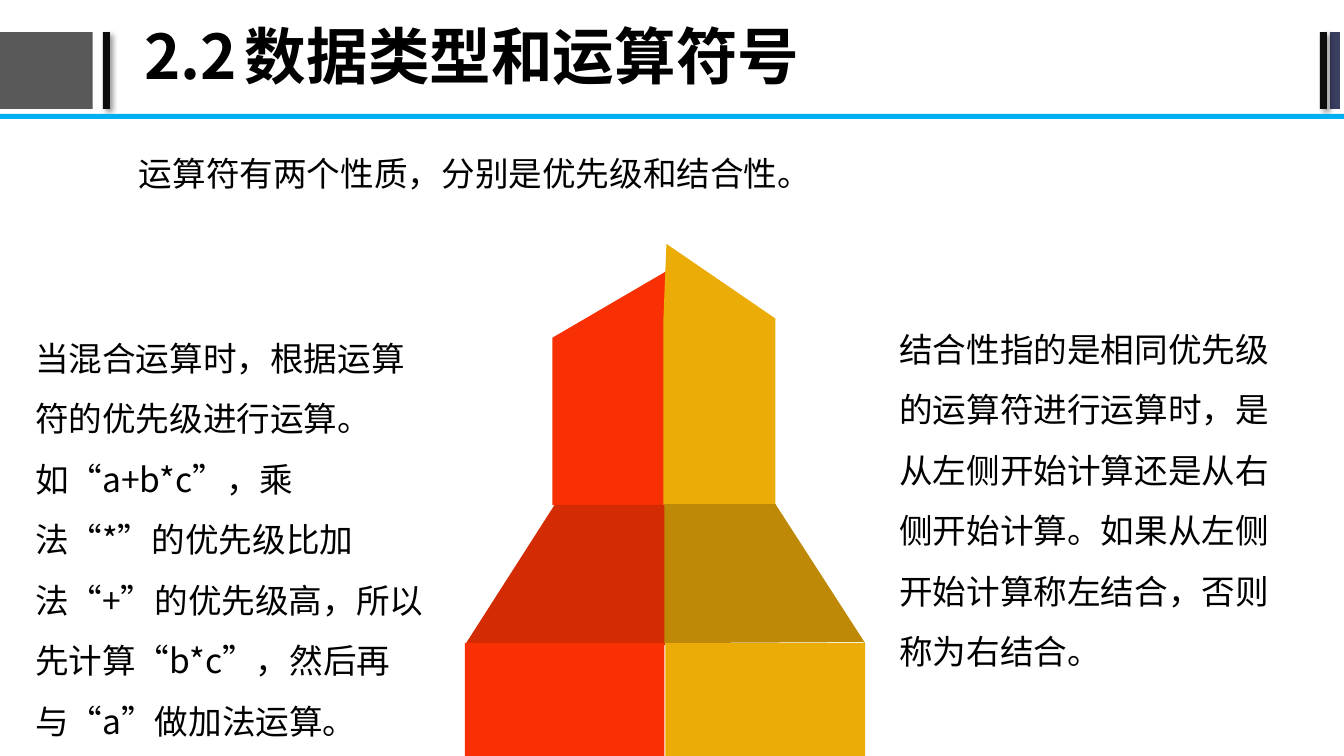
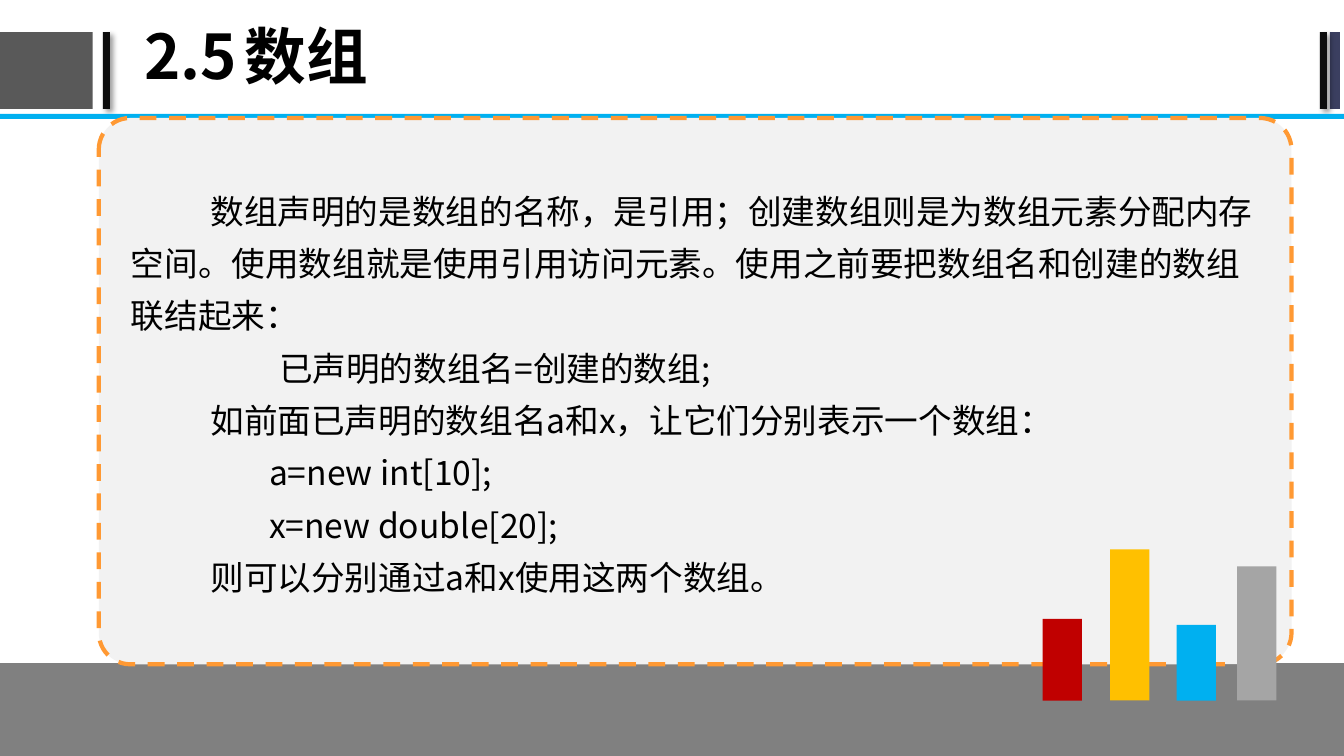
from dataclasses import dataclass

from lxml import etree
from pptx import Presentation
from pptx.dml.color import RGBColor
from pptx.enum.dml import MSO_LINE
from pptx.enum.lang import MSO_LANGUAGE_ID
from pptx.enum.shapes import MSO_SHAPE
from pptx.enum.text import MSO_ANCHOR
from pptx.oxml import parse_xml
from pptx.oxml.ns import nsdecls, qn
from pptx.shapes.autoshape import Shape
from pptx.slide import Slide
from pptx.util import Inches, Pt

RECTANGLE = MSO_SHAPE.RECTANGLE
ROUNDED = MSO_SHAPE.ROUNDED_RECTANGLE
TOP, MIDDLE = MSO_ANCHOR.TOP, MSO_ANCHOR.MIDDLE
DASH = MSO_LINE.DASH
CHINESE = MSO_LANGUAGE_ID.SIMPLIFIED_CHINESE

SLIDE_WIDTH, SLIDE_HEIGHT = 13.33, 7.5


@dataclass(frozen=True)
class Theme:
    font: str = "Noto Sans CJK SC"
    title_size: int = 44
    body_size: int = 24
    text: str = "000000"
    block: str = "595959"
    stripe: str = "0D0D0D"
    edge: str = "3B3F60"
    rule: str = "00B0F0"
    red: str = "F83003"
    red_shade: str = "D32B03"
    amber: str = "EBAC07"
    amber_shade: str = "BE8906"
    panel: str = "F2F2F2"
    panel_line: str = "FF9933"
    floor: str = "808080"
    bar_red: str = "C00000"
    bar_yellow: str = "FFC000"
    bar_gray: str = "A5A5A5"


THEME = Theme()


@dataclass(frozen=True)
class Box:
    left: float
    top: float
    width: float
    height: float


@dataclass(frozen=True)
class Block:
    box: Box
    color: str
    shadowed: bool = False


@dataclass(frozen=True)
class Facet:
    points: tuple[tuple[float, float], ...]
    color: str


@dataclass(frozen=True)
class Line:
    text: str
    indent: float = 0


@dataclass(frozen=True)
class Passage:
    box: Box
    lines: tuple[Line, ...]
    spacing: float = 1.0


@dataclass(frozen=True)
class Bar:
    left: float
    height: float
    color: str


def band(left: float, width: float, color: str, shadowed: bool = False) -> Block:
    """A block of the header band, which has one top and one height."""
    return Block(Box(left, 0.32, width, 0.76), color, shadowed)


HEADER = (
    band(-0.02, 0.94, THEME.block),
    band(1.02, 0.07, THEME.stripe, shadowed=True),
    band(13.19, 0.1, THEME.edge),
    band(13.09, 0.07, THEME.stripe, shadowed=True),
    Block(Box(0, 1.13, SLIDE_WIDTH, 0.05), THEME.rule),
)
TITLE_BOX = Box(1.33, 0, 11.25, 1.18)
TITLE_TAB = 1.33

TOWER_FACETS = (
    Facet(((6.59, 3.35), (6.59, 5.01), (5.48, 5.01), (5.48, 3.35), (6.61, 2.69)), THEME.red),
    Facet(((6.58, 3.16), (6.58, 5.02), (7.69, 5.02), (7.69, 3.16), (6.61, 2.42)), THEME.amber),
    Facet(((4.61, 6.4), (5.5, 5.01), (6.6, 5.01), (6.6, 6.4), (4.63, 6.39)), THEME.red_shade),
    Facet(((8.58, 6.38), (7.69, 5), (6.59, 5), (6.59, 6.38), (8.56, 6.37)), THEME.amber_shade),
)
TOWER_BASE = (
    Block(Box(4.61, 6.38, 1.98, 1.12), THEME.red),
    Block(Box(6.6, 6.38, 1.98, 1.12), THEME.amber),
)
OPERATOR_PASSAGES = (
    Passage(
        Box(0.25, 3.1, 4.14, 3.64),
        (Line("当混合运算时，根据运算符的优先级进行运算。如“a+b*c”，乘法“*”的优先级比加法“+”的优先级高，"
              "所以先计算“b*c”，然后再与“a”做加法运算。"),),
        1.5,
    ),
    Passage(
        Box(8.82, 3.01, 4.09, 3.64),
        (Line("结合性指的是相同优先级的运算符进行运算时，是从左侧开始计算还是从右侧开始计算。"
              "如果从左侧开始计算称左结合，否则称为右结合。"),),
        1.5,
    ),
    Passage(Box(1.28, 1.47, 7.8, 0.5), (Line("运算符有两个性质，分别是优先级和结合性。"),)),
)

FLOOR = Block(Box(0, 6.58, SLIDE_WIDTH, 1), THEME.floor)
PANEL_BOX = Box(0.98, 1.17, 11.83, 5.42)
BODY_INDENT, FORMULA_INDENT, CODE_INDENT = 0.79, 1.47, 1.37
ARRAY_PASSAGE = Passage(
    Box(1.2, 1.72, 11.4, 3.39),
    (
        Line("数组声明的是数组的名称，是引用；创建数组则是为数组元素分配内存空间。"
             "使用数组就是使用引用访问元素。使用之前要把数组名和创建的数组联结起来：", BODY_INDENT),
        Line("已声明的数组名=创建的数组;", FORMULA_INDENT),
        Line("如前面已声明的数组名a和x，让它们分别表示一个数组：", BODY_INDENT),
        Line("a=new int[10];", CODE_INDENT),
        Line("x=new double[20];", CODE_INDENT),
        Line("则可以分别通过a和x使用这两个数组。", BODY_INDENT),
    ),
    1.3,
)
BAR_WIDTH, BAR_BOTTOM = 0.39, 6.95
BARS = (
    Bar(12.27, 1.33, THEME.bar_gray),
    Bar(11.67, 0.75, THEME.rule),
    Bar(11.01, 1.5, THEME.bar_yellow),
    Bar(10.34, 0.81, THEME.bar_red),
)


def extent(box: Box) -> tuple[int, int, int, int]:
    return Inches(box.left), Inches(box.top), Inches(box.width), Inches(box.height)


def paint(shape: Shape, color: str) -> None:
    """Flat fill without outline or shadow."""
    shape.shadow.inherit = False
    shape.fill.solid()
    shape.fill.fore_color.rgb = RGBColor.from_string(color)
    shape.line.fill.background()


def add_soft_shadow(shape: Shape) -> None:
    effects = shape._element.spPr.find(qn("a:effectLst"))
    effects.append(parse_xml(
        f'<a:outerShdw {nsdecls("a")} blurRad="{Pt(4)}" dist="{Pt(3)}" dir="2700000" '
        'algn="tl" rotWithShape="0"><a:srgbClr val="000000"><a:alpha val="40000"/>'
        "</a:srgbClr></a:outerShdw>"
    ))


def draw_block(slide: Slide, block: Block) -> None:
    shape = slide.shapes.add_shape(RECTANGLE, *extent(block.box))
    paint(shape, block.color)
    if block.shadowed:
        add_soft_shadow(shape)


def draw_facet(slide: Slide, facet: Facet) -> None:
    start, *rest = [(Inches(x), Inches(y)) for x, y in facet.points]
    outline = slide.shapes.build_freeform(*start)
    outline.add_line_segments(rest, close=True)
    paint(outline.convert_to_shape(), facet.color)


def draw_passage(slide: Slide, passage: Passage, size: int = THEME.body_size,
                 bold: bool = False, anchor: MSO_ANCHOR = TOP, tab: float = 0) -> None:
    frame = slide.shapes.add_textbox(*extent(passage.box)).text_frame
    frame.word_wrap = True
    frame.vertical_anchor = anchor
    frame.text = "\n".join(line.text for line in passage.lines)
    for paragraph, line in zip(frame.paragraphs, passage.lines):
        paragraph.line_spacing = passage.spacing
        properties = paragraph._p.get_or_add_pPr()
        properties.set("marL", "0")
        properties.set("indent", str(Inches(line.indent)))
        if tab:
            tabs = etree.SubElement(properties, qn("a:tabLst"))
            etree.SubElement(tabs, qn("a:tab"), pos=str(Inches(tab)), algn="l")
        for run in paragraph.runs:
            font = run.font
            font.size = Pt(size)
            font.bold = bold
            font.language_id = CHINESE
            font.color.rgb = RGBColor.from_string(THEME.text)
            font.name = THEME.font
            etree.SubElement(run._r.rPr, qn("a:ea"), typeface=THEME.font)


def start_slide(deck: Presentation, number: str, title: str) -> Slide:
    """Add a blank slide with the shared header band, title and rule."""
    slide = deck.slides.add_slide(deck.slide_layouts[6])
    for block in HEADER:
        draw_block(slide, block)
    heading = Passage(TITLE_BOX, (Line(f"{number}\t{title}"),), 0.9)
    draw_passage(slide, heading, THEME.title_size, True, MIDDLE, TITLE_TAB)
    return slide


def draw_panel(slide: Slide) -> None:
    panel = slide.shapes.add_shape(ROUNDED, *extent(PANEL_BOX))
    panel.adjustments[0] = 0.058
    paint(panel, THEME.panel)
    panel.line.color.rgb = RGBColor.from_string(THEME.panel_line)
    panel.line.width = Pt(3)
    panel.line.dash_style = DASH


def build_operators(deck: Presentation) -> None:
    slide = start_slide(deck, "2.2", "数据类型和运算符号")
    for facet in TOWER_FACETS:
        draw_facet(slide, facet)
    for block in TOWER_BASE:
        draw_block(slide, block)
    for passage in OPERATOR_PASSAGES:
        draw_passage(slide, passage)


def build_arrays(deck: Presentation) -> None:
    slide = start_slide(deck, "2.5", "数组")
    draw_block(slide, FLOOR)
    draw_panel(slide)
    draw_passage(slide, ARRAY_PASSAGE)
    for bar in BARS:
        box = Box(bar.left, BAR_BOTTOM - bar.height, BAR_WIDTH, bar.height)
        draw_block(slide, Block(box, bar.color))


def main() -> None:
    deck = Presentation()
    deck.slide_width = Inches(SLIDE_WIDTH)
    deck.slide_height = Inches(SLIDE_HEIGHT)
    build_operators(deck)
    build_arrays(deck)
    deck.save("out.pptx")


if __name__ == "__main__":
    main()
